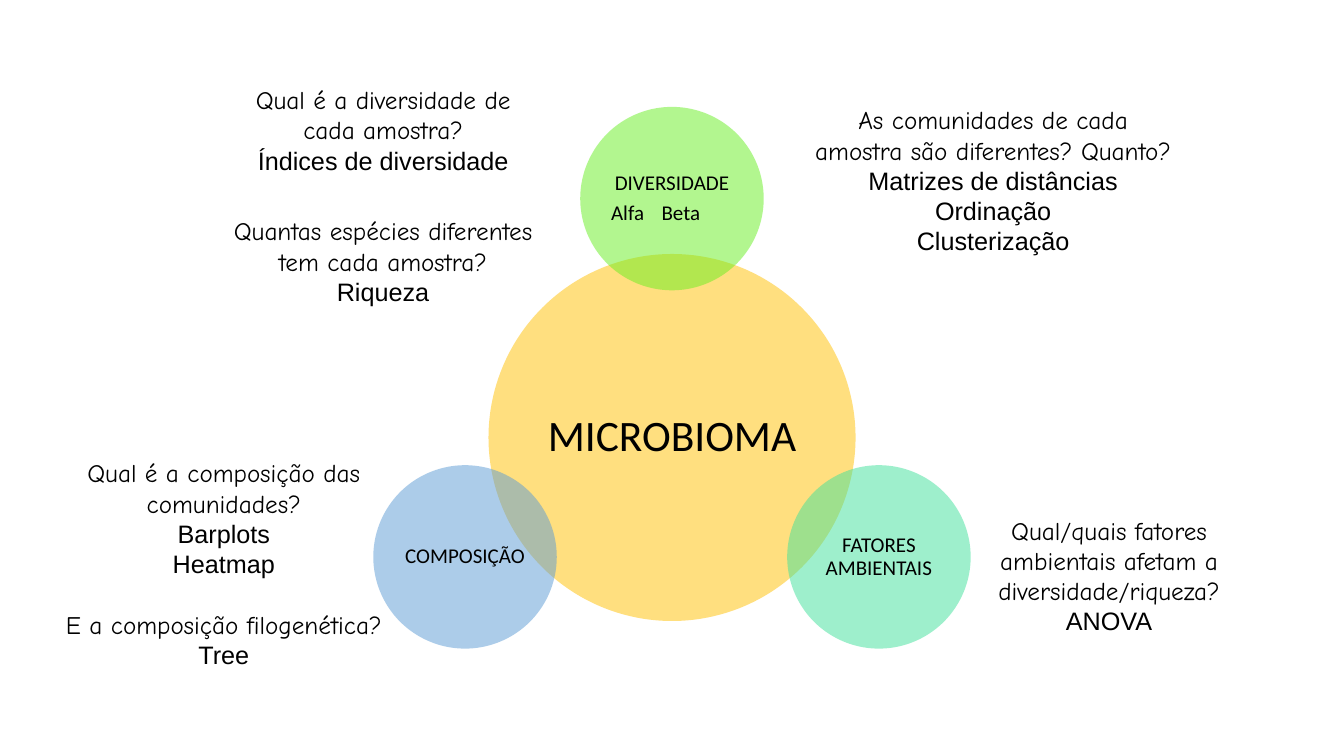
import math

from lxml import etree
from pptx import Presentation, util as u
from pptx.dml.color import RGBColor
from pptx.enum import shapes, text
from pptx.oxml import ns

WIDE, HIGH = u.Inches(13.33), u.Inches(7.5)
BLACK = RGBColor(0, 0, 0)
AMBER = RGBColor(0xFF, 0xC0, 0x00)
GREEN = RGBColor(0x67, 0xEF, 0x21)
MINT = RGBColor(0x3F, 0xE1, 0x9B)
BLUE = RGBColor(0x5B, 0x9B, 0xD5)
ASK, TOOL, LABEL = "Comic Neue", "Arial", "Calibri"
HUB_X, HUB_Y = 50, 57.87
HUB, MOON, ORBIT = 24.27, 12.13, 31.6

MOONS = [
    (90, GREEN, ["DIVERSIDADE", "Alfa\tBeta"]),
    (-30, MINT, ["FATORES AMBIENTAIS"]),
    (210, BLUE, ["COMPOSIÇÃO"]),
]
NOTES = [
    ((17.33, 10.53, 22.36, 13.47), [
        ("Qual é a diversidade de cada amostra?", ["Índices de diversidade"])]),
    ((16.65, 27.87, 23.71, 13.47), [
        ("Quantas espécies diferentes tem cada amostra?", ["Riqueza"])]),
    ((59.64, 13.2, 28.51, 21.6), [
        ("As comunidades de cada amostra são diferentes? Quanto?",
         ["Matrizes de distâncias", "Ordinação", "Clusterização"])]),
    ((71.34, 67.47, 22.36, 17.47), [
        ("Qual/quais fatores ambientais afetam a diversidade/riqueza?",
         ["ANOVA"])]),
    ((3.45, 59.87, 26.41, 29.6), [
        ("Qual é a composição das comunidades?", ["Barplots", "Heatmap"]),
        ("E a composição filogenética?", ["Tree"])]),
]


def across(share):
    return round(WIDE * share / 100)


def down(share):
    return round(HIGH * share / 100)


def add_line(frame, words, face, size):
    first = frame.paragraphs[0]
    para = frame.add_paragraph() if first.runs else first
    para.alignment = text.PP_ALIGN.CENTER
    run = para.add_run()
    run.text = words
    run.font.name = face
    run.font.size = u.Pt(size)
    run.font.color.rgb = BLACK
    return para


def set_tab(para, place):
    para.alignment = text.PP_ALIGN.LEFT
    props = para._p.get_or_add_pPr()
    props.set("marL", str(u.Inches(0.02)))
    props.set("indent", "0")
    tabs = etree.SubElement(props, ns.qn("a:tabLst"))
    etree.SubElement(tabs, ns.qn("a:tab"), pos=str(u.Inches(place)), algn="r")


def fade(shape, share):
    tint = shape.fill._xPr.find(".//" + ns.qn("a:srgbClr"))
    etree.SubElement(tint, ns.qn("a:alpha"), val=str(share * 1000))


def add_disc(slide, mid_x, mid_y, radius, color, lines, size, inset):
    side = 2 * radius
    disc = slide.shapes.add_shape(
        shapes.MSO_SHAPE.OVAL, mid_x - radius, mid_y - radius, side, side)
    disc.shadow.inherit = False
    disc.fill.solid()
    disc.fill.fore_color.rgb = color
    fade(disc, 50)
    disc.line.fill.background()
    frame = disc.text_frame
    frame.word_wrap = True
    frame.vertical_anchor = text.MSO_ANCHOR.MIDDLE
    frame.margin_left = frame.margin_right = u.Inches(inset)
    frame.margin_top = frame.margin_bottom = u.Inches(inset)
    for words in lines:
        para = add_line(frame, words, LABEL, size)
        para.line_spacing = 0.9
        para.space_after = u.Pt(0.35 * size)
        if "\t" in words:
            set_tab(para, 1.23)


def add_note(slide, place, pairs):
    left, top, width, height = place
    box = slide.shapes.add_textbox(
        across(left), down(top), across(width), down(height))
    frame = box.text_frame
    frame.word_wrap = True
    for rank, (ask, tools) in enumerate(pairs):
        para = add_line(frame, ask, ASK, 18)
        if rank:
            para.space_before = u.Pt(22)
        for tool in tools:
            add_line(frame, tool, TOOL, 18)


def main():
    deck = Presentation()
    deck.slide_width, deck.slide_height = WIDE, HIGH
    slide = deck.slides.add_slide(deck.slide_layouts[6])
    hub_x, hub_y = across(HUB_X), down(HUB_Y)
    add_disc(slide, hub_x, hub_y, down(HUB), AMBER, ["MICROBIOMA"], 31, 0.04)
    for angle, color, lines in MOONS:
        turn = math.radians(angle)
        mid_x = hub_x + down(ORBIT * math.cos(turn))
        mid_y = hub_y - down(ORBIT * math.sin(turn))
        add_disc(slide, mid_x, mid_y, down(MOON), color, lines, 15, 0.02)
    for place, pairs in NOTES:
        add_note(slide, place, pairs)
    deck.save("out.pptx")


main()
